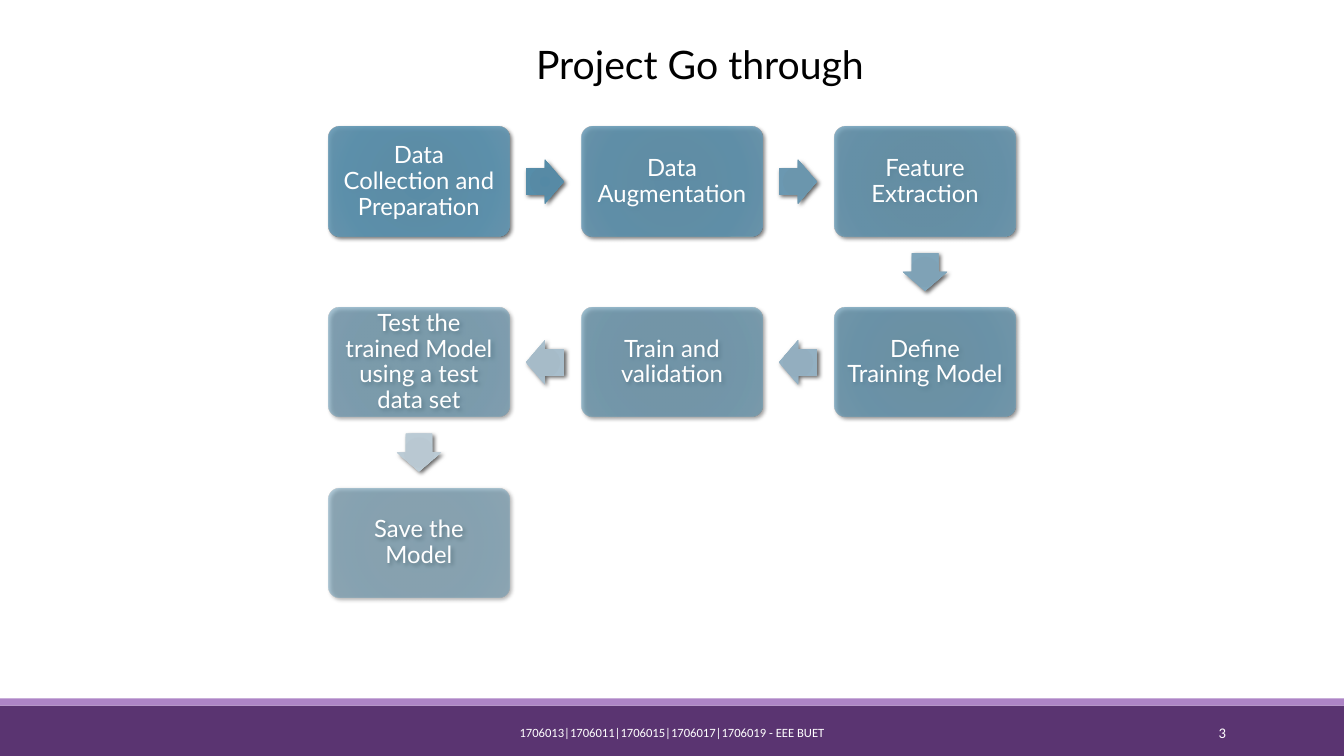
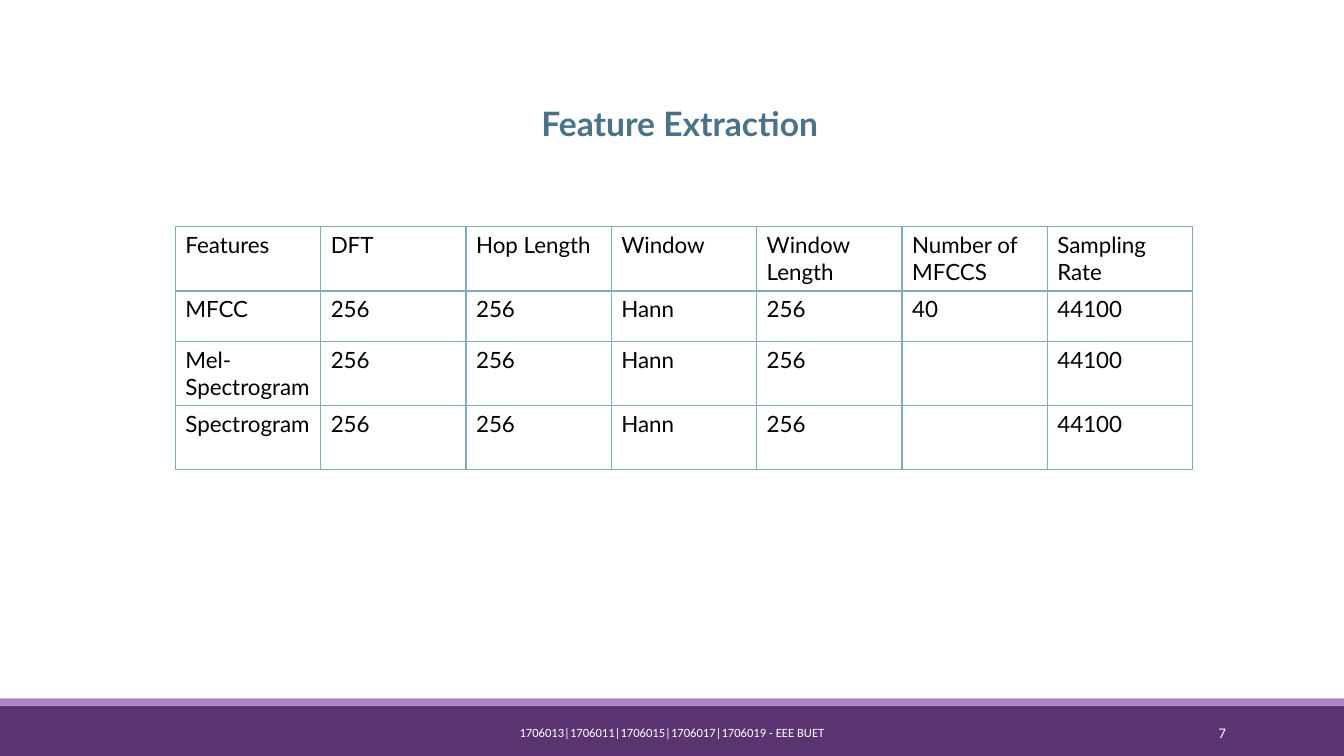
"""Build two project slides: a process flow and a feature extraction table."""
from pptx import Presentation
from pptx.dml.color import RGBColor
from pptx.enum.shapes import MSO_SHAPE
from pptx.enum.text import MSO_ANCHOR, MSO_AUTO_SIZE, PP_ALIGN
from pptx.oxml import parse_xml
from pptx.oxml.ns import nsdecls, qn
from pptx.util import Pt

PX = 9525
PAGE_WIDTH, PAGE_HEIGHT = 1280, 720
HEADING_FONT, FOOTER_FONT = "Lato", "Calibri"
BLACK, WHITE = "000000", "FFFFFF"
PURPLE, LILAC = "5A3471", "AD84C6"
TEAL, TABLE_LINE = "497389", "84ACB6"
FOOTER = "1706013|1706011|1706015|1706017|1706019 - EEE BUET"
BANDS = [(672, 48, PURPLE), (665, 7, LILAC)]


def color(value):
    return RGBColor.from_string(value)


def write(frame, text, size, tint, font=HEADING_FONT, align=PP_ALIGN.LEFT,
          anchor=MSO_ANCHOR.TOP, bold=False):
    frame.text = text
    frame.word_wrap = True
    frame.auto_size = MSO_AUTO_SIZE.NONE
    frame.vertical_anchor = anchor
    para = frame.paragraphs[0]
    para.alignment = align
    for span in para.runs:
        span.font.name = font
        span.font.size = Pt(size)
        span.font.bold = bold
        span.font.color.rgb = color(tint)


deck = Presentation()
deck.slide_width, deck.slide_height = PAGE_WIDTH * PX, PAGE_HEIGHT * PX
title_layout = deck.slide_layouts.get_by_name("Title Only")

PAGES = [
    ("Project Go through", 28, BLACK, False, (501, 34, 350, 55), "3"),
    ("Feature Extraction", 24, TEAL, True, (506, 93, 300, 48), "7"),
]
for title, size, tint, bold, area, number in PAGES:
    page = deck.slides.add_slide(title_layout)
    heading = page.shapes.title
    heading.left, heading.top, heading.width, heading.height = [v * PX for v in area]
    write(heading.text_frame, title, size, tint, bold=bold)

    for top, height, fill in BANDS:
        band = page.shapes.add_shape(
            MSO_SHAPE.RECTANGLE, 0, top * PX, PAGE_WIDTH * PX, height * PX)
        band.shadow.inherit = False
        band.fill.solid()
        band.fill.fore_color.rgb = color(fill)
        band.line.fill.background()

    for left, width, text, size, align in [
        (387, 506, FOOTER, 9, PP_ALIGN.CENTER),
        (1040, 137, number, 10.5, PP_ALIGN.RIGHT),
    ]:
        box = page.shapes.add_textbox(left * PX, 679 * PX, width * PX, 38 * PX)
        write(box.text_frame, text, size, WHITE, FOOTER_FONT, align, MSO_ANCHOR.MIDDLE)

flow_page, table_page = deck.slides

STEPS = [
    ("Data Collection and Preparation", 0, 0),
    ("Data Augmentation", 1, 0),
    ("Feature Extraction", 2, 0),
    ("Define Training Model", 2, 1),
    ("Train and validation", 1, 1),
    ("Test the trained Model using a test data set", 0, 1),
    ("Save the Model", 0, 2),
]
STEP_COLORS = ["5890AD", "5B91AD", "5A93B1", "6698B3"]
ARROW_COLORS = [
    ["5489A5", "578AA5", "568DA9", "6191AB"],
    ["6995AD", "6B96AD", "6B98B1", "769EB4"],
    ["7DA1B5", "7FA2B6", "80A5BA", "8AABBE"],
    ["90ADBE", "93AEBF", "94B1C3", "9FB8C8"],
    ["A4B9C7", "A6BBC8", "A8BECC", "B3C6D2"],
    ["B7C6D0", "B9C8D2", "BBCBD5", "C6D4DD"],
]
GRADIENT_STOPS = [0, 34, 70, 100]
FIRST_OPACITY, LAST_OPACITY = 90, 50
ROTATIONS = {(1, 0): 0, (0, 1): 90, (-1, 0): 180}
STEP_WIDTH, STEP_HEIGHT, STEP_MARGIN = 172, 104, 8
ARROW_WIDTH, ARROW_HEIGHT = 36, 42
FLOW_LEFT, FLOW_TOP, COLUMN_PITCH, ROW_PITCH = 313, 121, 241, 172

painted = []
for index, (text, column, row) in enumerate(STEPS):
    left = FLOW_LEFT + column * COLUMN_PITCH
    top = FLOW_TOP + row * ROW_PITCH
    step = flow_page.shapes.add_shape(
        MSO_SHAPE.ROUNDED_RECTANGLE, left * PX, top * PX, STEP_WIDTH * PX, STEP_HEIGHT * PX)
    step.adjustments[0] = 0.1
    frame = step.text_frame
    frame.margin_left = frame.margin_right = STEP_MARGIN * PX
    frame.margin_top = frame.margin_bottom = STEP_MARGIN * PX
    write(frame, text, 17, WHITE, align=PP_ALIGN.CENTER, anchor=MSO_ANCHOR.MIDDLE)
    frame.paragraphs[0].line_spacing = 0.9
    progress = index / (len(STEPS) - 1)
    opacity = round(FIRST_OPACITY + (LAST_OPACITY - FIRST_OPACITY) * progress)
    painted.append((step, STEP_COLORS, opacity))

for (_, column, row), (_, next_column, next_row), tints in zip(STEPS, STEPS[1:], ARROW_COLORS):
    middle_x = FLOW_LEFT + (STEP_WIDTH + (column + next_column) * COLUMN_PITCH) // 2
    middle_y = FLOW_TOP + (STEP_HEIGHT + (row + next_row) * ROW_PITCH) // 2
    arrow = flow_page.shapes.add_shape(
        MSO_SHAPE.RIGHT_ARROW, (middle_x - ARROW_WIDTH // 2) * PX,
        (middle_y - ARROW_HEIGHT // 2) * PX, ARROW_WIDTH * PX, ARROW_HEIGHT * PX)
    arrow.adjustments[0], arrow.adjustments[1] = 0.6, 0.5
    arrow.rotation = ROTATIONS[next_column - column, next_row - row]
    painted.append((arrow, tints, 100))

for shape, tints, opacity in painted:
    shape.line.fill.background()
    shape.shadow.inherit = False
    stops = "".join(
        f'<a:gs pos="{stop * 1000}"><a:srgbClr val="{tint}">'
        f'<a:alpha val="{opacity * 1000}"/></a:srgbClr></a:gs>'
        for stop, tint in zip(GRADIENT_STOPS, tints))
    gradient = parse_xml(
        f'<a:gradFill {nsdecls("a")} rotWithShape="1"><a:gsLst>{stops}</a:gsLst>'
        '<a:path path="circle"><a:fillToRect l="100000" t="100000" r="100000" b="100000"/>'
        '</a:path></a:gradFill>')
    shadow = parse_xml(
        f'<a:outerShdw {nsdecls("a")} blurRad="{Pt(3)}" dist="{Pt(2)}" dir="2700000" '
        f'rotWithShape="0"><a:srgbClr val="{BLACK}"><a:alpha val="60000"/>'
        '</a:srgbClr></a:outerShdw>')
    properties = shape.element.spPr
    properties.find(qn("a:prstGeom")).addnext(gradient)
    properties.find(qn("a:effectLst")).append(shadow)

ROWS = [
    ["Features", "DFT", "Hop Length", "Window", "Window Length", "Number of MFCCS",
     "Sampling Rate"],
    ["MFCC", "256", "256", "Hann", "256", "40", "44100"],
    ["Mel-Spectrogram", "256", "256", "Hann", "256", "", "44100"],
    ["Spectrogram", "256", "256", "Hann", "256", "", "44100"],
]
ROW_HEIGHTS = [61, 48, 61, 61]
TABLE_LEFT, TABLE_TOP, TABLE_WIDTH = 167, 216, 969
THIN_LINE, HEADER_LINE = 1, 2

table = table_page.shapes.add_table(
    len(ROWS), len(ROWS[0]), TABLE_LEFT * PX, TABLE_TOP * PX,
    TABLE_WIDTH * PX, sum(ROW_HEIGHTS) * PX).table
table.first_row = table.horz_banding = False
for row_index, (texts, height) in enumerate(zip(ROWS, ROW_HEIGHTS)):
    table.rows[row_index].height = height * PX
    borders = {
        "lnL": THIN_LINE,
        "lnR": THIN_LINE,
        "lnT": HEADER_LINE if row_index == 1 else THIN_LINE,
        "lnB": HEADER_LINE if row_index == 0 else THIN_LINE,
    }
    for column_index, text in enumerate(texts):
        cell = table.cell(row_index, column_index)
        cell.text = text
        font = cell.text_frame.paragraphs[0].font
        font.name, font.size = HEADING_FONT, Pt(16)
        font.color.rgb = color(BLACK)
        cell_properties = cell._tc.get_or_add_tcPr()
        for side, width in borders.items():
            cell_properties.append(parse_xml(
                f'<a:{side} {nsdecls("a")} w="{Pt(width)}"><a:solidFill>'
                f'<a:srgbClr val="{TABLE_LINE}"/></a:solidFill></a:{side}>'))
        cell.fill.background()

deck.save("out.pptx")
